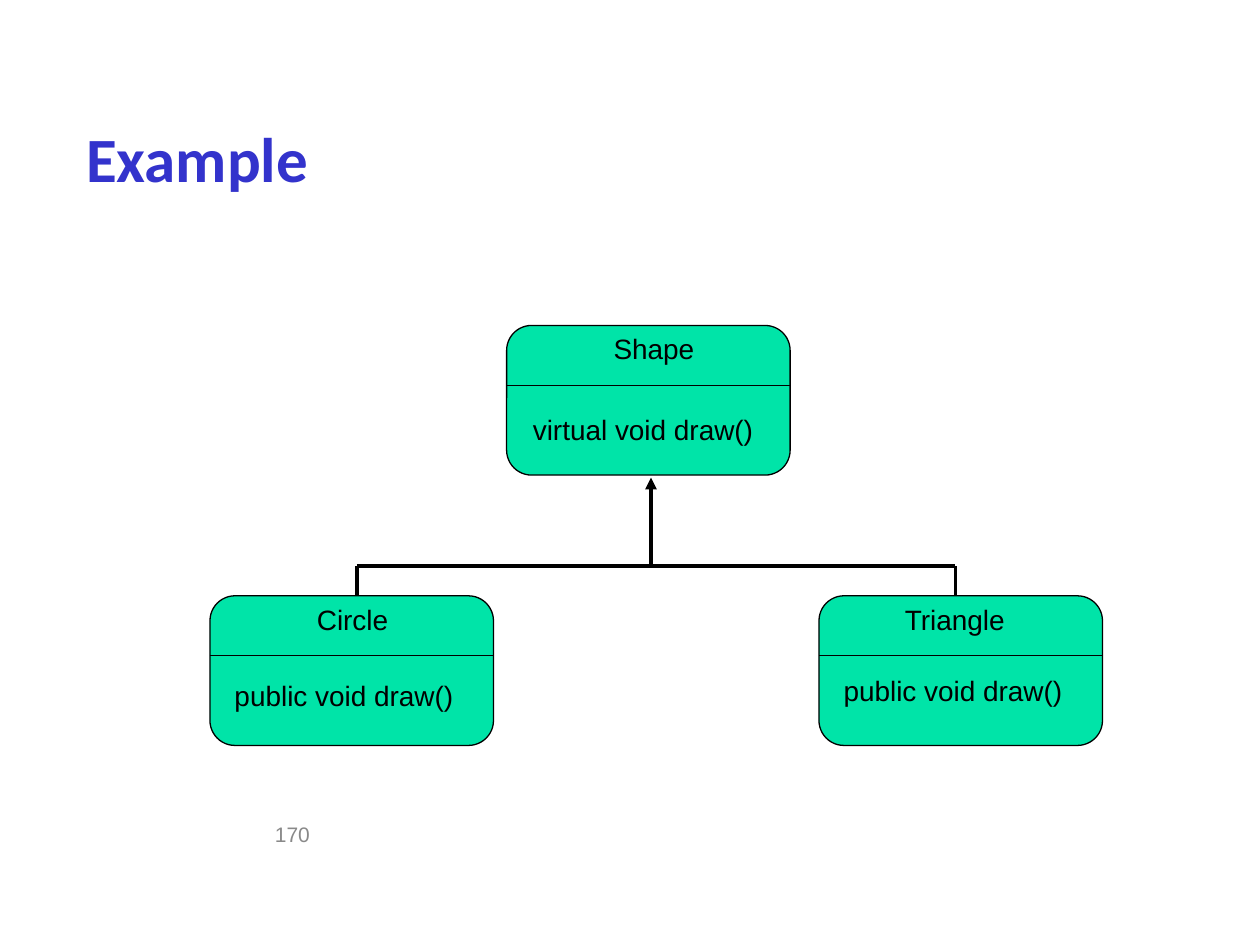
from lxml.etree import SubElement
from pptx import Presentation
from pptx.dml.color import RGBColor
from pptx.enum.shapes import MSO_CONNECTOR, MSO_SHAPE
from pptx.enum.text import MSO_ANCHOR, MSO_AUTO_SIZE, PP_ALIGN
from pptx.oxml.ns import qn
from pptx.util import Pt

COLORS = {"title": "3333CC", "card": "00E4A8", "ink": "000000", "number": "898989"}
CARD_WIDTH, CARD_HEIGHT, HEADER_HEIGHT = 162, 85.5, 34.25


class Diagram:
    font = "Arial"
    thin, thick = 0.75, 2.25

    def __init__(self, slide):
        self.slide = slide

    def color(self, name):
        return RGBColor.from_string(COLORS[name])

    def add_words(self, frame, words, size, color, font=font, bold=False):
        paragraph = frame.paragraphs[0]
        paragraph.alignment = PP_ALIGN.LEFT
        run = paragraph.add_run()
        run.text = words
        run.font.name = font
        run.font.size = Pt(size)
        run.font.bold = bold
        run.font.color.rgb = self.color(color)

    def title(self, words, left, top, width, height):
        heading = self.slide.shapes.title
        heading.left, heading.top = Pt(left), Pt(top)
        heading.width, heading.height = Pt(width), Pt(height)
        heading.text_frame.vertical_anchor = MSO_ANCHOR.MIDDLE
        self.add_words(heading.text_frame, words, 36, "title", "Calibri", True)

    def label(self, words, left, top, width, height=26.5, inset=7.2,
              size=16, color="ink", anchor=MSO_ANCHOR.TOP):
        box = self.slide.shapes.add_textbox(Pt(left), Pt(top), Pt(width), Pt(height))
        frame = box.text_frame
        frame.word_wrap = True
        frame.auto_size = MSO_AUTO_SIZE.NONE
        frame.vertical_anchor = anchor
        frame.margin_left = frame.margin_right = Pt(inset)
        self.add_words(frame, words, size, color)

    def line(self, start, end, weight=thick, arrow=False):
        ends = [Pt(value) for value in (*start, *end)]
        connector = self.slide.shapes.add_connector(MSO_CONNECTOR.STRAIGHT, *ends)
        connector.line.color.rgb = self.color("ink")
        connector.line.width = Pt(weight)
        properties = connector._element.spPr
        if arrow:
            SubElement(properties.find(qn("a:ln")), qn("a:tailEnd"), type="triangle")
        SubElement(properties, qn("a:effectLst"))

    def class_card(self, name, member, left, top, name_indent, name_width,
                   member_indent, member_drop):
        card = self.slide.shapes.add_shape(
            MSO_SHAPE.FLOWCHART_ALTERNATE_PROCESS,
            Pt(left), Pt(top), Pt(CARD_WIDTH), Pt(CARD_HEIGHT))
        card.shadow.inherit = False
        card.fill.solid()
        card.fill.fore_color.rgb = self.color("card")
        card.line.color.rgb = self.color("ink")
        card.line.width = Pt(self.thin)
        self.label(name, left + name_indent, top, name_width)
        divider = top + HEADER_HEIGHT
        self.line((left, divider), (left + CARD_WIDTH, divider), self.thin)
        self.label(member, left + member_indent, top + member_drop, 142.5, inset=0)


def main():
    deck = Presentation()
    deck.slide_width, deck.slide_height = Pt(720), Pt(540)
    diagram = Diagram(deck.slides.add_slide(deck.slide_layouts[5]))
    diagram.label("170", 150, 463, 114, 27.5, size=12, color="number",
                  anchor=MSO_ANCHOR.MIDDLE)
    diagram.title("Example", 42, 60, 630, 60)

    base_top, children_top = 186, 340.5
    diagram.class_card("Shape", "virtual void draw()", 289.5, base_top, 54, 70.5, 15, 46)
    diagram.class_card("Circle", "public void draw()", 120, children_top, 54, 70.5, 14, 43.5)
    diagram.class_card("Triangle", "public void draw()", 468, children_top, 42, 96, 14, 41)

    circle_x, trunk_x, triangle_x, branch_y = 204, 372, 546, 323.5
    diagram.line((circle_x, branch_y), (triangle_x, branch_y))
    for child_x in (circle_x, triangle_x):
        diagram.line((child_x, branch_y), (child_x, children_top))
    diagram.line((trunk_x, branch_y), (trunk_x, base_top + CARD_HEIGHT + 1.5), arrow=True)
    deck.save("out.pptx")


if __name__ == "__main__":
    main()
